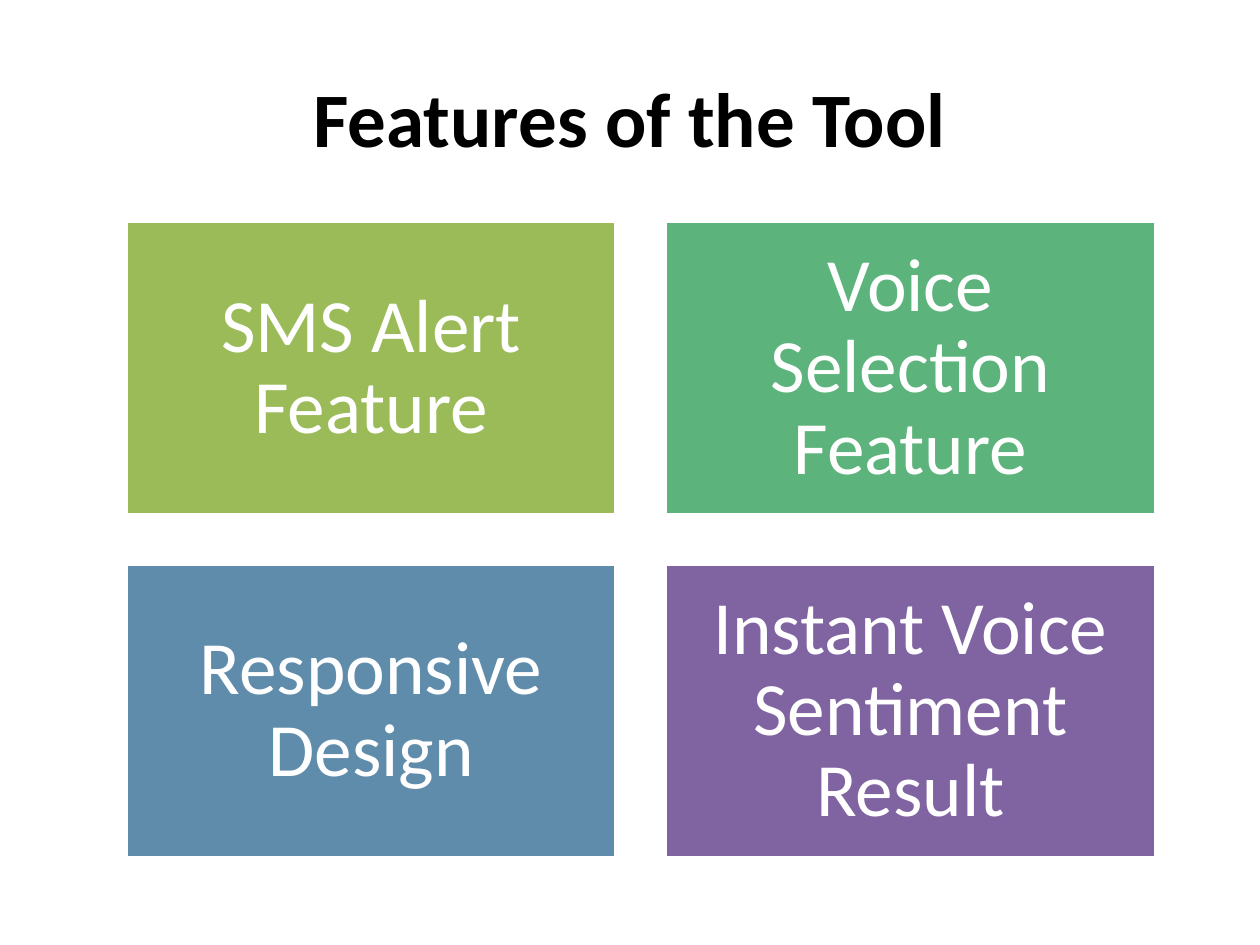
from pptx import Presentation
from pptx.dml.color import RGBColor
from pptx.enum.shapes import MSO_SHAPE as Shape
from pptx.enum.text import MSO_ANCHOR as Anchor, PP_ALIGN as Align
from pptx.util import Inches, Pt

BLACK = RGBColor(0x00, 0x00, 0x00)
WHITE = RGBColor(0xFF, 0xFF, 0xFF)
GREEN = RGBColor(0x9B, 0xBB, 0x59)
TEAL = RGBColor(0x5C, 0xB3, 0x7C)
BLUE = RGBColor(0x60, 0x8C, 0xAB)
PURPLE = RGBColor(0x80, 0x64, 0xA2)


def write(frame, text, color, **style):
    frame.text = text
    frame.word_wrap = True
    frame.vertical_anchor = Anchor.MIDDLE
    par = frame.paragraphs[0]
    par.alignment = Align.CENTER
    font = par.runs[0].font
    font.color.rgb = color
    for name, value in style.items():
        setattr(font, name, value)
    return par


prs = Presentation()
prs.slide_width, prs.slide_height = Inches(10), Inches(7.5)
slide = prs.slides.add_slide(prs.slide_layouts[5])

# Title
title = slide.shapes.title
title.left, title.top = Inches(0.5), Inches(0.3)
title.width, title.height = Inches(9), Inches(1.25)
write(title.text_frame, "Features of the Tool", BLACK,
      name="Calibri", size=Pt(44), bold=True)

# Feature cards, two to a row
cards = [
    ("SMS Alert Feature", GREEN),
    ("Voice Selection Feature", TEAL),
    ("Responsive Design", BLUE),
    ("Instant Voice Sentiment Result", PURPLE),
]
wide, high, gap = 3.89, 2.33, 0.39
for i, (text, color) in enumerate(cards):
    row, col = divmod(i, 2)
    card = slide.shapes.add_shape(
        Shape.RECTANGLE,
        Inches(1 + col * (wide + gap)), Inches(1.76 + row * (high + gap)),
        Inches(wide), Inches(high))
    card.shadow.inherit = False
    card.fill.solid()
    card.fill.fore_color.rgb = color
    card.line.color.rgb = WHITE
    card.line.width = Pt(2)
    frame = card.text_frame
    for side in ("left", "top", "right", "bottom"):
        setattr(frame, f"margin_{side}", Inches(0.18))
    par = write(frame, text, WHITE, name="Calibri", size=Pt(43))
    par.line_spacing = 0.9

prs.save("out.pptx")
